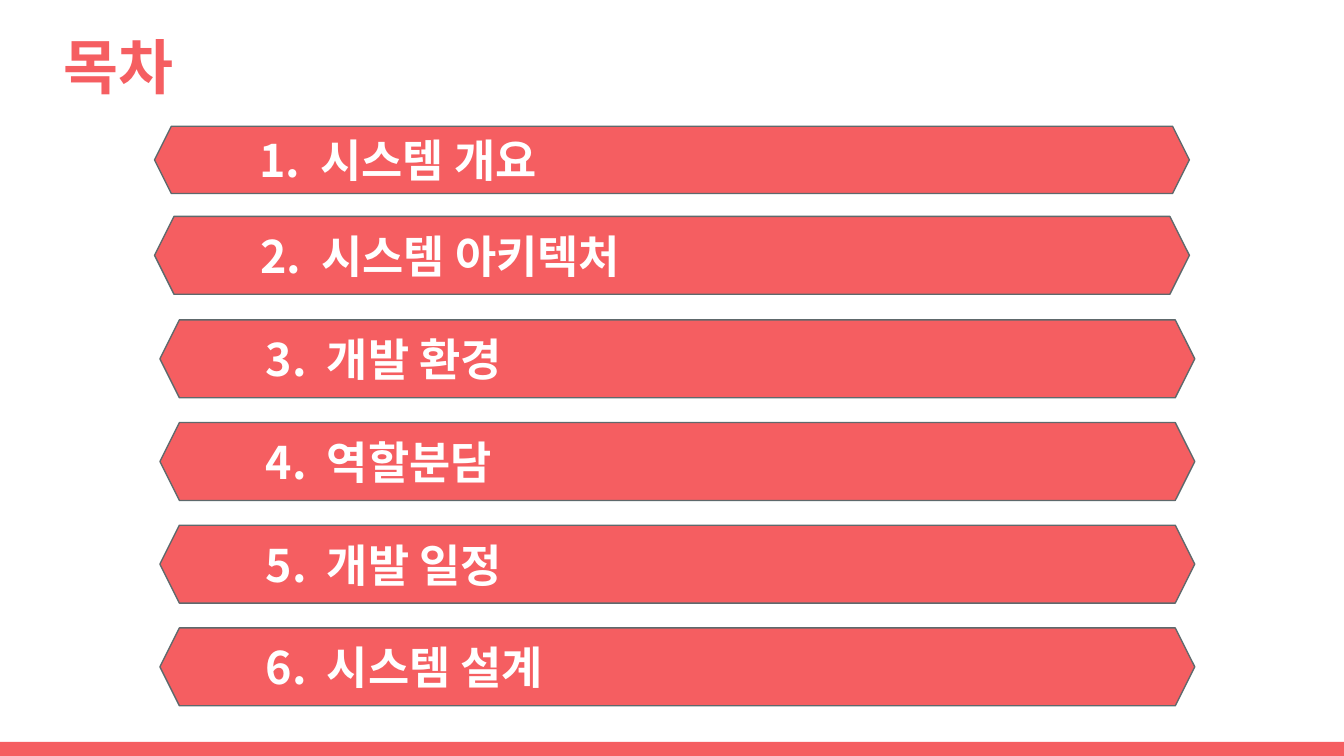
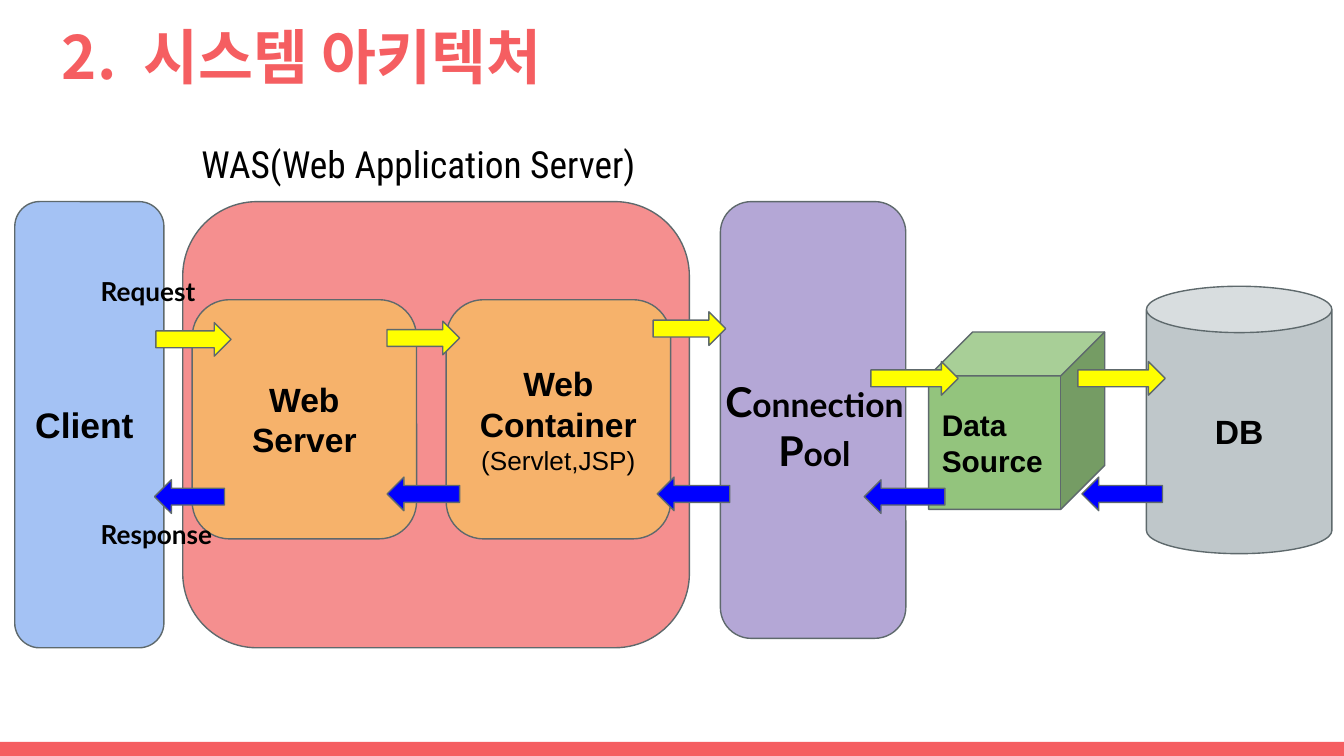
from dataclasses import dataclass
from typing import Any, NamedTuple

from lxml import etree
from pptx import Presentation
from pptx import util as u
from pptx.dml.color import RGBColor
from pptx.enum import shapes, text
from pptx.oxml.ns import qn

CORAL, EDGE, BLACK, WHITE = "F55E61", "5E696C", "000000", "FFFFFF"
YELLOW, BLUE = "FFFF00", "0000FF"
KOREAN = "Noto Sans CJK KR"
KIND = shapes.MSO_SHAPE
ALIGN = text.PP_ALIGN
TOP, MID = text.MSO_ANCHOR.TOP, text.MSO_ANCHOR.MIDDLE
ROUND = (0.167,)


class Box(NamedTuple):
    x: float
    y: float
    w: float
    h: float

    def emu(self) -> tuple:
        return tuple(u.Inches(v) for v in self)


class Run(NamedTuple):
    text: str
    size: float
    bold: bool = True
    gap: float = 0


@dataclass
class Copy:
    lines: list
    font: str = "Arial"
    color: str = BLACK
    align: Any = ALIGN.LEFT
    anchor: Any = MID


@dataclass
class Part:
    kind: Any
    box: Box
    fill: str
    adj: tuple = ()
    copy: Any = None
    turn: float = 0


def rgb(code: str) -> RGBColor:
    return RGBColor.from_string(code)


def apply(item: Any, form: dict) -> None:
    for key, value in form.items():
        setattr(item, key, value)


def write(shape: Any, copy: Copy) -> None:
    frame = shape.text_frame
    edge = u.Inches(0.1)
    apply(frame, {
        "word_wrap": True, "auto_size": text.MSO_AUTO_SIZE.NONE,
        "vertical_anchor": copy.anchor, "margin_left": edge,
        "margin_right": edge, "margin_top": edge, "margin_bottom": edge,
    })
    for i, line in enumerate(copy.lines):
        para = frame.add_paragraph() if i else frame.paragraphs[0]
        para.alignment = copy.align
        for run in line:
            piece = para.add_run()
            piece.text = run.text
            apply(piece.font, {"name": copy.font, "size": u.Pt(run.size),
                               "bold": run.bold})
            piece.font.color.rgb = rgb(copy.color)
            props = piece.font.color and piece._r.get_or_add_rPr()
            etree.SubElement(props, qn("a:ea")).set("typeface", copy.font)
            if run.gap:
                props.set("spc", str(round(run.gap * 100)))


def draw(slide: Any, part: Part, line: bool = True) -> Any:
    shape = slide.shapes.add_shape(part.kind, *part.box.emu())
    shape.shadow.inherit = False
    shape.rotation = part.turn
    shape.fill.solid()
    shape.fill.fore_color.rgb = rgb(part.fill)
    if line:
        shape.line.color.rgb = rgb(EDGE)
        shape.line.width = u.Pt(0.75)
    else:
        shape.line.fill.background()
    for i, value in enumerate(part.adj):
        shape.adjustments[i] = value
    if part.copy:
        write(shape, part.copy)
    return shape


def label(slide: Any, box: Box, copy: Copy) -> None:
    copy.anchor = TOP
    write(slide.shapes.add_textbox(*box.emu()), copy)


def item(num: int, name: str, size: float) -> list:
    return [Run(f"{num}.", size), Run(" ", size, gap=size * 0.22), Run(name, size)]


def start(deck: Any, box: Box, line: list) -> Any:
    slide = deck.slides.add_slide(deck.slide_layouts[5])
    title = slide.shapes.title
    apply(title, dict(zip(("left", "top", "width", "height"), box.emu())))
    write(title, Copy([line], KOREAN, CORAL, anchor=TOP))
    return slide


def theme(deck: Any, slide: Any) -> None:
    kinds = shapes.PP_PLACEHOLDER
    drop = (kinds.DATE, kinds.FOOTER, kinds.SLIDE_NUMBER)
    layout = deck.slide_layouts[5]
    for host in (deck.slide_master, layout):
        for mark in list(host.placeholders):
            if mark.placeholder_format.type in drop:
                mark.element.getparent().remove(mark.element)
    band = draw(slide, Part(KIND.RECTANGLE, Box(0, 5.52, 10, 0.11), CORAL), False)
    layout.placeholders[0].element.addprevious(band.element)


def agenda(deck: Any) -> None:
    slide = start(deck, Box(0.37, 0.12, 1.54, 0.68), [Run("목차", 32)])
    theme(deck, slide)
    names = ["시스템 개요", "시스템 아키텍처", "개발 환경",
             "역할분담", "개발 일정", "시스템 설계"]
    spots = [(1.15, 0.94, 0.5), (1.15, 1.61, 0.58)]
    spots += [(1.19, 2.38 + 0.764 * i, 0.58) for i in range(4)]
    for num, (name, (x, y, h)) in enumerate(zip(names, spots), 1):
        copy = Copy([item(num, name, 24)], KOREAN, WHITE)
        draw(slide, Part(KIND.HEXAGON, Box(x, y, 7.7, h), CORAL, (0.25,), copy))


def system(deck: Any) -> None:
    slide = start(deck, Box(0.36, 0.05, 7.87, 0.68),
                  item(2, "시스템 아키텍처", 32))
    mid = ALIGN.CENTER
    rect = KIND.ROUNDED_RECTANGLE
    parts = [
        Part(KIND.CUBE, Box(6.91, 2.47, 1.31, 1.32), "93C47D", (0.25,),
             Copy([[Run("Data", 16)], [Run("Source", 16)]])),
        Part(rect, Box(0.11, 1.5, 1.11, 3.32), "A4C2F4", ROUND,
             Copy([[Run("Client", 19)]], align=ALIGN.JUSTIFY)),
        Part(rect, Box(1.36, 1.5, 3.77, 3.32), "F58F8F", ROUND),
        Part(rect, Box(1.43, 2.23, 1.67, 1.78), "F6B26B", ROUND,
             Copy([[Run("Web Server", 18)]], align=mid)),
        Part(rect, Box(3.32, 2.23, 1.67, 1.78), "F6B26B", ROUND,
             Copy([[Run("Web Container", 18)],
                   [Run("(Servlet,JSP)", 14, False)]], align=mid)),
        Part(KIND.CAN, Box(8.53, 2.13, 1.38, 1.99), "BFC7CA", (0.25,),
             Copy([[Run("DB", 18)]], align=mid)),
        Part(rect, Box(5.36, 1.5, 1.38, 3.25), "B4A7D6", ROUND),
    ]
    for part in parts:
        draw(slide, part)

    asks = [(1.16, 2.4, 0.56), (2.88, 2.39, 0.54), (4.86, 2.32, 0.54),
            (6.48, 2.69, 0.65), (8.02, 2.69, 0.65)]
    backs = [(1.15, 3.57, 0.52), (2.88, 3.55, 0.54), (4.89, 3.55, 0.54),
             (6.43, 3.57, 0.6), (8.05, 3.55, 0.6)]
    for spots, fill, turn in ((asks, YELLOW, 0), (backs, BLUE, 180)):
        for x, y, w in spots:
            draw(slide, Part(KIND.RIGHT_ARROW, Box(x, y, w, 0.25), fill,
                             (0.5, 0.5), turn=turn))

    label(slide, Box(1.4, 0.95, 3.67, 0.53),
          Copy([[Run("WAS(Web Application Server)", 20, False)]],
               "Roboto Condensed"))
    for name, y in (("Request", 1.95), ("Response", 3.76)):
        label(slide, Box(0.65, y, 1.18, 0.36), Copy([[Run(name, 14)]], "Lato"))
    label(slide, Box(5.2, 2.7, 1.72, 0.93),
          Copy([[Run("C", 22), Run("onnection", 18)],
                [Run("P", 22), Run("ool", 18)]], "Lato", align=mid))


def main() -> None:
    deck = Presentation()
    apply(deck, {"slide_width": u.Inches(10), "slide_height": u.Inches(5.625)})
    agenda(deck)
    system(deck)
    deck.save("out.pptx")


if __name__ == "__main__":
    main()
